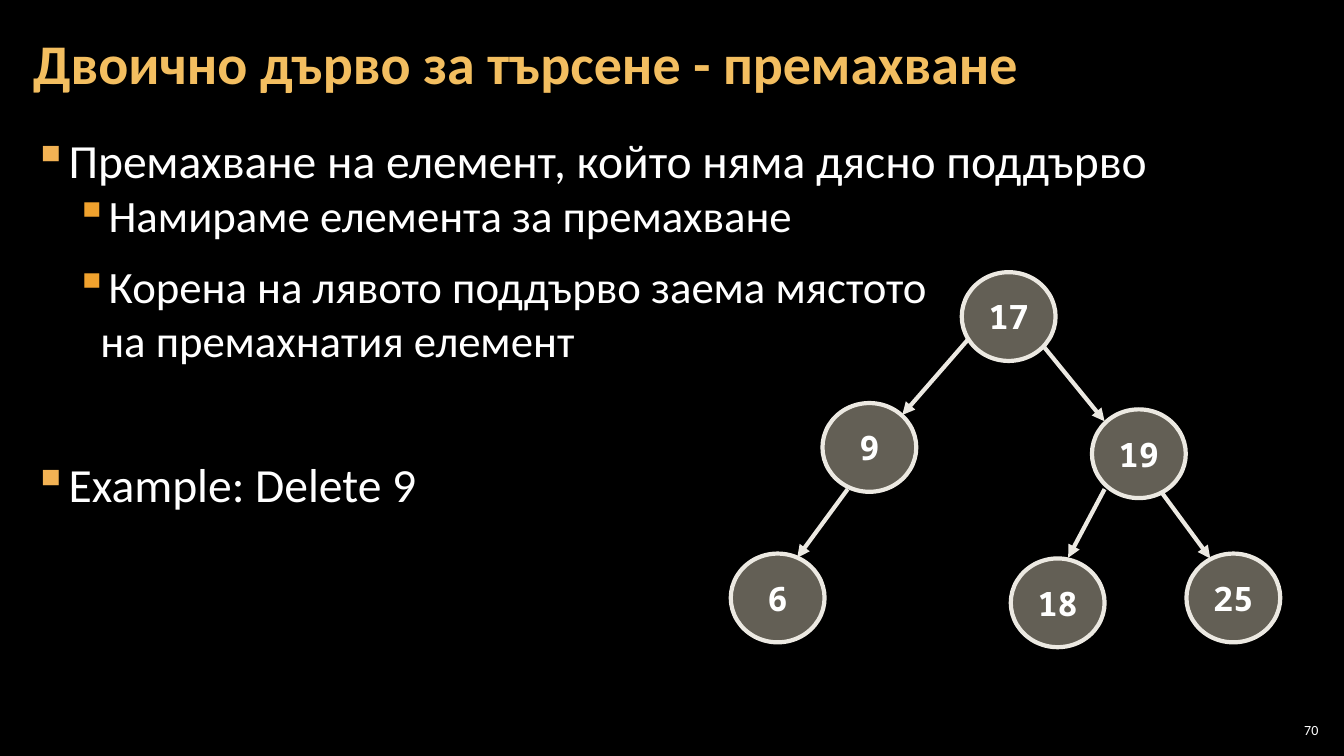
from lxml import etree
from pptx import Presentation
from pptx.dml import color
from pptx.enum import shapes, text
from pptx.oxml import ns
from pptx.util import Pt

INK = {
    "back": "000000", "text": "FFFFFF", "title": "F3BE60", "top": "F2B254",
    "sub": "F0A22E", "node": "C6BEAB", "line": "ECE9E2",
}
POINTS = [
    ("Премахване на елемент, който няма дясно поддърво", 0, 0),
    ("Намираме елемента за премахване", 1, 0),
    ("Корена на лявото поддърво заема мястото\nна премахнатия елемент", 1, 12),
    ("Example: Delete 9", 0, 63),
]
LEVELS = [(34, 24, 24, "top"), (32, 48, 18, "sub")]
NODES = [
    ("17", 165, 0), ("19", 258, 98), ("9", 65.5, 93.5),
    ("18", 200, 204.5), ("25", 325.5, 201), ("6", 0, 201),
]
EDGES = [
    (170, 47.5, 122.5, 102), (83.5, 155, 47.5, 204),
    (267, 155, 241, 204), (223, 52.5, 267, 106.5),
    (307.5, 157, 342.5, 204.5),
]


def rgb(name):
    return color.RGBColor.from_string(INK[name])


def add(parent, tag, **attrs):
    return etree.SubElement(parent, ns.qn(tag), attrs)


def style(para, size, ink="text", bold=False, face="Calibri"):
    font = para.font
    font.name, font.size, font.bold = face, Pt(size), bold
    font.color.rgb = rgb(ink)


def setup(frame, side, edge, anchor):
    frame.word_wrap = True
    frame.auto_size = text.MSO_AUTO_SIZE.NONE
    frame.margin_left = frame.margin_right = Pt(side)
    frame.margin_top = frame.margin_bottom = Pt(edge)
    frame.vertical_anchor = anchor


def add_title(slide, left, top, width, height):
    title = slide.shapes.title
    title.left, title.top = Pt(left), Pt(top)
    title.width, title.height = Pt(width), Pt(height)
    setup(title.text_frame, 8.64, 2.88, text.MSO_ANCHOR.MIDDLE)
    para = title.text_frame.paragraphs[0]
    para.text = "Двоично дърво за търсене - премахване"
    para.alignment = text.PP_ALIGN.LEFT
    para.line_spacing = 0.9
    style(para, 40, "title", True)


def add_points(slide, left, top, width, height):
    box = slide.shapes.add_textbox(Pt(left), Pt(top), Pt(width), Pt(height))
    frame = box.text_frame
    setup(frame, 8.64, 2.88, text.MSO_ANCHOR.TOP)
    for i, (words, level, gap) in enumerate(POINTS):
        para = frame.add_paragraph() if i else frame.paragraphs[0]
        size, indent, hang, ink = LEVELS[level]
        para.text, para.level, para.space_before = words, level, Pt(gap)
        props = para._p.get_or_add_pPr()
        props.set("marL", str(Pt(indent)))
        props.set("indent", str(-Pt(hang)))
        add(add(props, "a:buClr"), "a:srgbClr", val=INK[ink])
        add(props, "a:buChar", char="▪")
        style(para, size)


def add_node(slide, label, left, top):
    node = slide.shapes.add_shape(
        shapes.MSO_SHAPE.OVAL, Pt(left), Pt(top), Pt(67), Pt(63.4))
    node.shadow.inherit = False
    node.fill.solid()
    node.fill.fore_color.rgb = rgb("node")
    tint = node._element.spPr.find(".//" + ns.qn("a:srgbClr"))
    add(tint, "a:alpha", val="50000")
    node.line.color.rgb, node.line.width = rgb("line"), Pt(3)
    setup(node.text_frame, 7.2, 3.6, text.MSO_ANCHOR.MIDDLE)
    para = node.text_frame.paragraphs[0]
    para.text, para.alignment = label, text.PP_ALIGN.CENTER
    style(para, 24, bold=True, face="Noto Sans Mono")


def add_edge(slide, *ends):
    edge = slide.shapes.add_connector(
        shapes.MSO_CONNECTOR.STRAIGHT, *map(Pt, ends))
    edge.line.color.rgb, edge.line.width = rgb("line"), Pt(3)
    add(edge.line._get_or_add_ln(), "a:tailEnd", type="triangle")
    add(edge._element.spPr, "a:effectLst")


def add_tree(slide, left, top):
    for label, x, y in NODES:
        add_node(slide, label, left + x, top + y)
    for x1, y1, x2, y2 in EDGES:
        add_edge(slide, left + x1, top + y1, left + x2, top + y2)


def add_number(slide, left, top, width, height):
    box = slide.shapes.add_textbox(Pt(left), Pt(top), Pt(width), Pt(height))
    setup(box.text_frame, 2.88, 2.88, text.MSO_ANCHOR.MIDDLE)
    para = box.text_frame.paragraphs[0]
    para.text, para.alignment = "70", text.PP_ALIGN.RIGHT
    style(para, 10)


def main():
    deck = Presentation()
    deck.slide_width, deck.slide_height = Pt(960), Pt(540)
    slide = deck.slides.add_slide(deck.slide_layouts[5])
    slide.background.fill.solid()
    slide.background.fill.fore_color.rgb = rgb("back")
    add_points(slide, 15, 90.7, 929.5, 438.5)
    add_title(slide, 15, 3.6, 929.5, 87.1)
    add_tree(slide, 522, 194.4)
    add_number(slide, 910.8, 514, 33.8, 15.1)
    deck.save("out.pptx")


if __name__ == "__main__":
    main()
